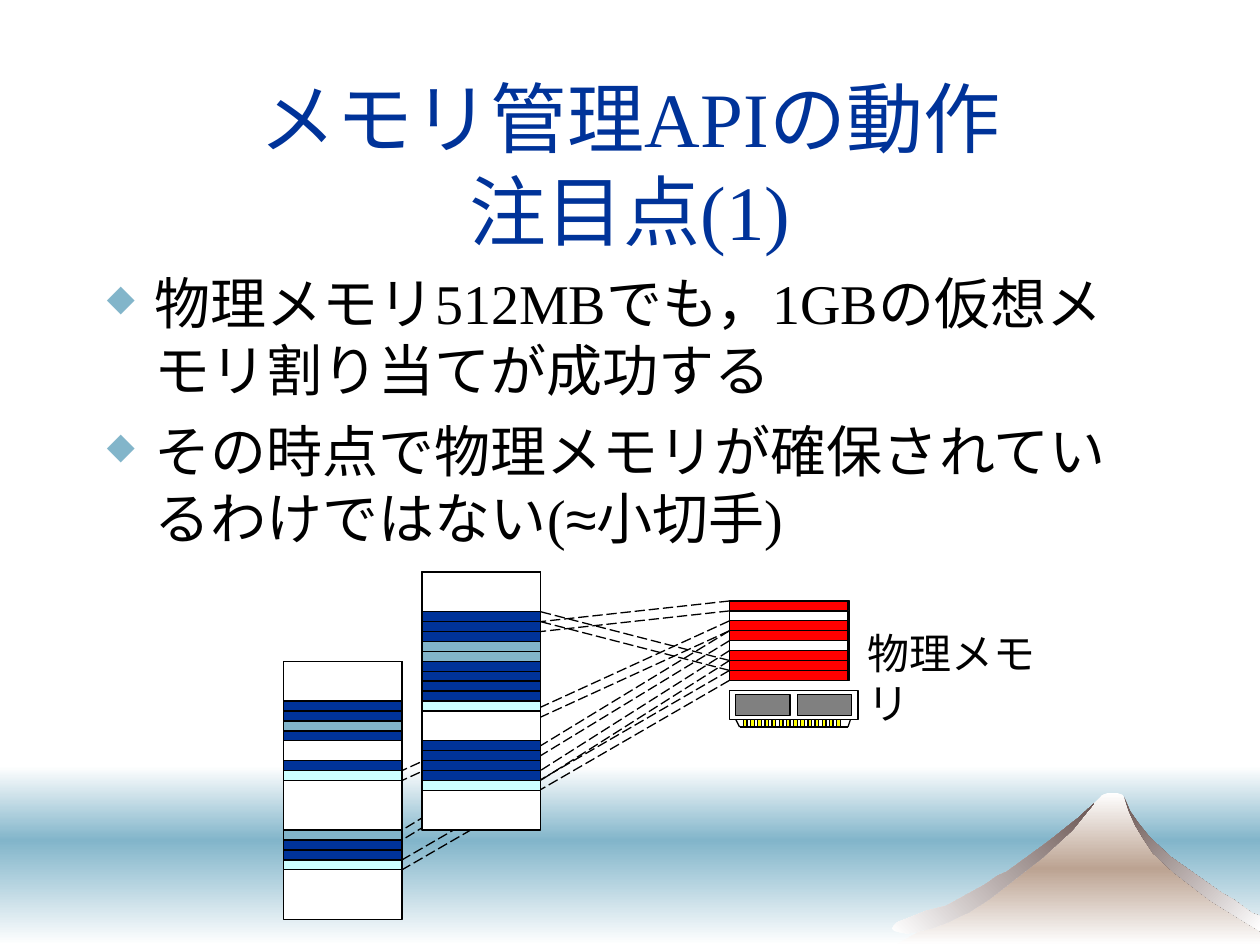
from lxml import etree
from pptx import Presentation
from pptx.dml.color import RGBColor
from pptx.enum.dml import MSO_LINE
from pptx.enum.shapes import MSO_CONNECTOR, MSO_SHAPE
from pptx.enum.text import MSO_ANCHOR, PP_ALIGN
from pptx.oxml.ns import qn
from pptx.util import Inches, Pt

DASH = MSO_LINE.LONG_DASH
LINE = MSO_CONNECTOR.STRAIGHT
RECT = MSO_SHAPE.RECTANGLE
MIDDLE, TOP = MSO_ANCHOR.MIDDLE, MSO_ANCHOR.TOP
CENTER, LEFT = PP_ALIGN.CENTER, PP_ALIGN.LEFT

COLORS = {
    "white": "FFFFFF", "black": "000000", "navy": "003399", "blue": "82B5CA",
    "pale": "CCFFFF", "red": "FF0000", "gray": "808080", "gold": "FFFF00",
    "sand": "BCA392", "rock": "6B5653",
}
CODES = {"N": "navy", "B": "blue", "P": "pale", "R": "red", "W": "white"}
SERIF, SANS = "Times New Roman", "Arial"
WIDTH, STEP = 0.94, 0.63 / 8
STACKS = {
    "back": (2.25, 5.25, "NNBN..NP.....BNNP"),
    "front": (3.35, 4.54, "NNNBBNNNNP...NNNNP"),
}
RAM = (5.79, 4.77)
PAGES = [(0, "front", 5), (2, "back", 11), (3, "back", 17),
         (5, "front", 20), (6, "front", 4), (7, "back", 20)]

PEAK = [
    (7.11, 7.5), (7.9, 7.05), (8.4, 6.66), (8.69, 6.37), (8.75, 6.31),
    (8.8, 6.29), (8.86, 6.29), (8.91, 6.31), (9.03, 6.57), (9.22, 6.8),
    (9.68, 7.12), (10, 7.33), (10, 7.5),
]
EAST = [
    (9.15, 6.77), (9.31, 6.92), (9.48, 7.05), (9.53, 7.09), (9.61, 7.15),
    (9.9, 7.33), (10, 7.39), (10, 7.27), (9.94, 7.25), (9.79, 7.14),
    (9.7, 7.09), (9.29, 6.8), (9.12, 6.64), (9.04, 6.54), (8.97, 6.44),
    (8.92, 6.32), (8.96, 6.44), (9.01, 6.55), (9.07, 6.65),
]
WEST = [
    (8.32, 6.68), (7.99, 6.92), (7.92, 6.95), (7.82, 7.02), (7.51, 7.19),
    (7.35, 7.23), (7.2, 7.29), (7.12, 7.32), (7.09, 7.35), (7.08, 7.37),
    (7.1, 7.39), (7.14, 7.4), (7.2, 7.41), (7.3, 7.39), (7.39, 7.37),
    (7.5, 7.33), (7.69, 7.24), (7.8, 7.17), (7.86, 7.13), (8.27, 6.81),
    (8.51, 6.59), (8.64, 6.43), (8.68, 6.38), (8.56, 6.49),
]


def color(name):
    return RGBColor.from_string(COLORS[name])


def write(para, text, font=SERIF, size=32, ink="black"):
    run = para.add_run()
    run.text = text
    run.font.name = font
    run.font.size = Pt(size)
    run.font.color.rgb = color(ink)


class Deck:
    def __init__(self, slide):
        self.shapes = slide.shapes

    def box(self, x, y, w, h, fill):
        shape = self.shapes.add_shape(
            RECT, Inches(x), Inches(y), Inches(w), Inches(h))
        shape.shadow.inherit = False
        shape.fill.solid()
        shape.fill.fore_color.rgb = color(fill)
        shape.line.color.rgb = color("black")
        shape.line.width = Pt(0.75)

    def fade(self, points, names, angle):
        spots = [(Inches(x), Inches(y)) for x, y in points]
        pen = self.shapes.build_freeform(*spots[0])
        pen.add_line_segments(spots[1:], close=True)
        shape = pen.convert_to_shape()
        shape.shadow.inherit = False
        shape.line.fill.background()
        shape.fill.gradient()
        shape.fill.gradient_angle = 360 - angle
        stops = shape._element.spPr.find(".//" + qn("a:gsLst"))
        for stop in list(stops):
            stops.remove(stop)
        for i, name in enumerate(names):
            place = str(100000 * i // (len(names) - 1))
            stop = etree.SubElement(stops, qn("a:gs"), pos=place)
            etree.SubElement(stop, qn("a:srgbClr"), val=COLORS[name])

    def line(self, x1, y1, x2, y2, dash=None):
        link = self.shapes.add_connector(
            LINE, Inches(x1), Inches(y1), Inches(x2), Inches(y2))
        link.line.color.rgb = color("black")
        link.line.width = Pt(0.75)
        if dash:
            link.line.dash_style = dash
        etree.SubElement(link._element.spPr, qn("a:effectLst"))

    def text(self, x, y, w, h, anchor=TOP, align=LEFT, wrap=True):
        frame = self.shapes.add_textbox(
            Inches(x), Inches(y), Inches(w), Inches(h)).text_frame
        frame.word_wrap = wrap
        frame.vertical_anchor = anchor
        frame.paragraphs[0].alignment = align
        return frame

    def bullet(self, para):
        props = para._p.get_or_add_pPr()
        props.set("marL", str(Inches(0.38)))
        props.set("indent", str(-Inches(0.38)))
        tint = etree.SubElement(props, qn("a:buClr"))
        etree.SubElement(tint, qn("a:srgbClr"), val=COLORS["blue"])
        etree.SubElement(props, qn("a:buSzPct"), val="65000")
        etree.SubElement(props, qn("a:buChar"), char="◆")

    def rows(self, x, y, codes):
        for i, code in enumerate(codes):
            if code in CODES:
                self.box(x, y + i * STEP, WIDTH, STEP, CODES[code])

    def stack(self, name):
        x, y, codes = STACKS[name]
        self.box(x, y, WIDTH, 26 * STEP, "white")
        self.box(x, y, WIDTH, 4 * STEP, "white")
        self.rows(x, y + 4 * STEP, codes)

    def scene(self):
        for top, end, names in ((6.08, 6.67, ("white", "blue")),
                                (6.67, 7.5, ("blue", "white"))):
            self.fade([(0, top), (10, top), (10, end), (0, end)], names, 90)
        self.fade(PEAK, ("white", "sand", "white"), 90)
        self.fade(EAST, ("rock", "white"), 45)
        self.fade(WEST, ("white", "rock"), 315)

    def words(self):
        head = self.text(0.75, 0.67, 8.5, 1.25, MIDDLE, CENTER).paragraphs[0]
        write(head, "メモリ管理APIの動作", size=44, ink="navy")
        head.add_line_break()
        write(head, "注目点(1)", size=44, ink="navy")
        body = self.text(0.75, 2.08, 8.5, 4.5)
        first, second = body.paragraphs[0], body.add_paragraph()
        second.space_before = Pt(8)
        for para in (first, second):
            self.bullet(para)
        write(first, "物理メモリ512MBでも，1GBの仮想メモリ割り当てが成功する")
        write(second, "その時点で物理メモリが確保されているわけではない(")
        write(second, "≈", font=SANS)
        write(second, "小切手)")

    def links(self):
        x, y = RAM
        for page, name, row in PAGES:
            left, top, _ = STACKS[name]
            for i in (0, 1):
                self.line(x, y + (page + i) * STEP,
                          left + WIDTH, top + (row + i) * STEP, DASH)

    def module(self):
        self.box(5.79, 5.48, 1.02, 0.23, "white")
        edge = [(5.84, 5.71), (5.87, 5.77), (6.73, 5.77), (6.75, 5.71)]
        for start, end in zip(edge, edge[1:]):
            self.line(*start, *end)
        for i in range(14):
            self.box(5.9 + i * 0.74 / 13, 5.71, 0.03, 0.06, "gold")
        for x in (5.84, 6.33):
            self.box(x, 5.51, 0.43, 0.17, "gray")


def main():
    deck = Presentation()
    deck.slide_width, deck.slide_height = Inches(10), Inches(7.5)
    page = Deck(deck.slides.add_slide(deck.slide_layouts[6]))
    page.scene()
    page.words()
    page.stack("back")
    page.box(*RAM, 0.95, 8 * STEP, "white")
    page.rows(*RAM, "RWRRWRRR")
    page.links()
    page.stack("front")
    page.module()
    label = page.text(6.79, 4.93, 1.86, 0.5, wrap=False)
    write(label.paragraphs[0], "物理メモリ", font=SANS, size=24)
    deck.save("out.pptx")


if __name__ == "__main__":
    main()
